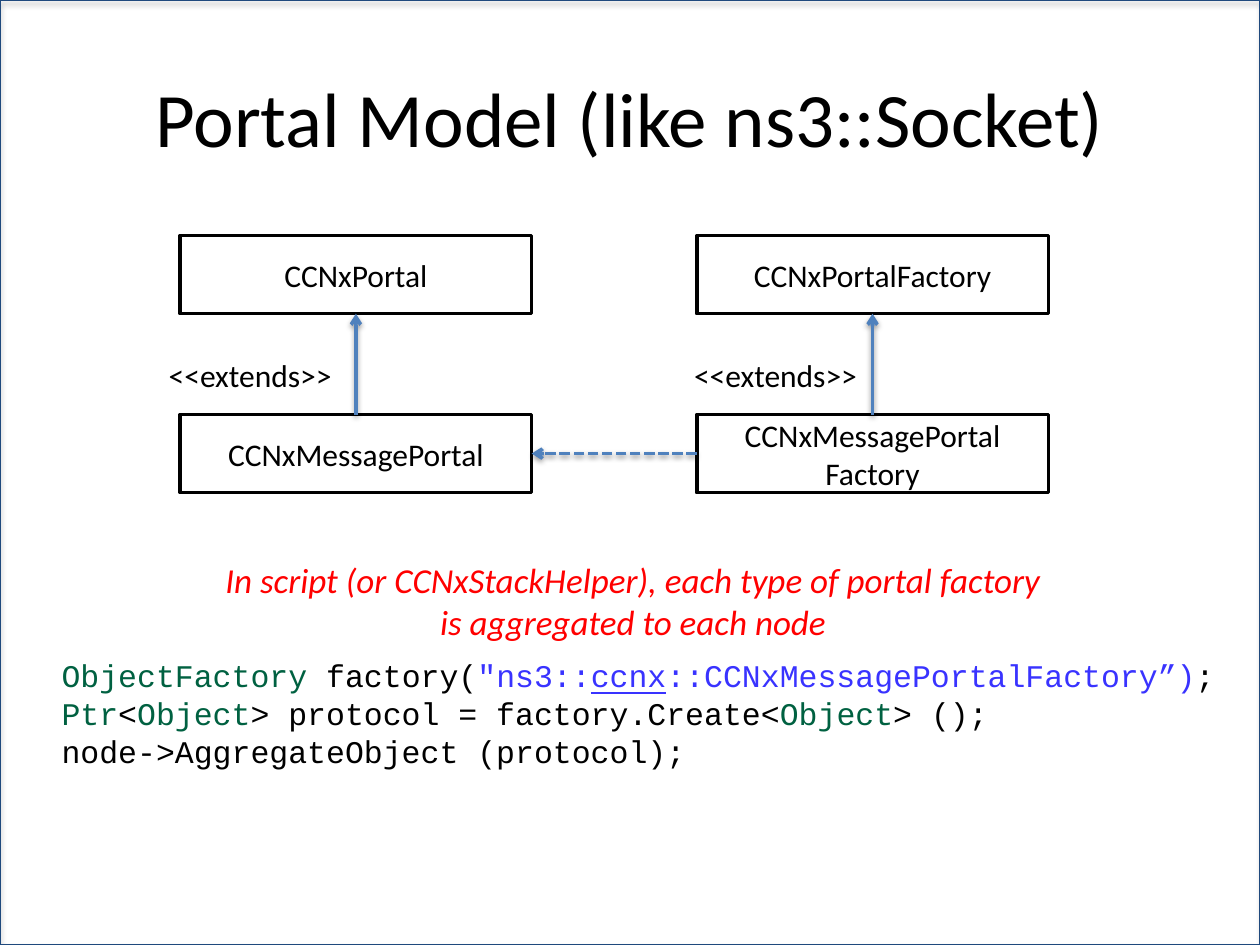
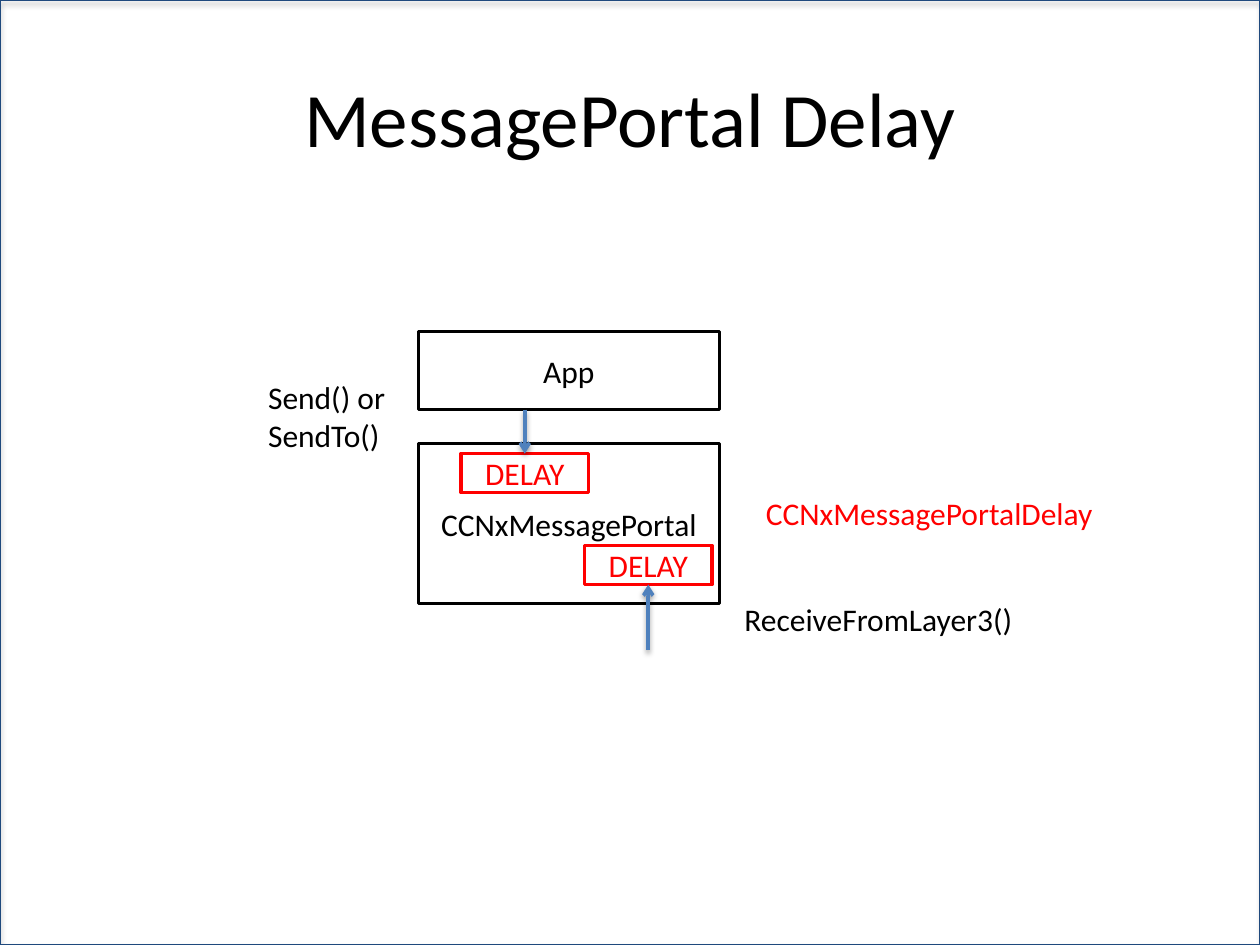
"""Builds two slides on the portal model and its delays."""
from dataclasses import dataclass

from lxml import etree
from pptx import Presentation
from pptx import util as u
from pptx.dml.color import RGBColor
from pptx.enum import dml, shapes, text
from pptx.oxml.ns import qn


@dataclass(frozen=True)
class Theme:
    """Colours, fonts and sizes shared by the slides."""
    ink: str = "000000"
    paper: str = "FFFFFF"
    alert: str = "FF0000"
    arrow: str = "4F81BD"
    frame_fill: str = "264A59"
    frame_line: str = "1F497D"
    code_type: str = "006141"
    code_string: str = "3933FF"
    body_font: str = "Calibri"
    code_font: str = "Courier New"
    title_size: int = 44
    note_size: int = 20
    body_size: int = 18
    stroke: float = 2


THEME = Theme()
TOP, LEFT, BOTTOM = 0, 1, 2


def rgb(code):
    """Return the colour for a hex code."""
    return RGBColor.from_string(code)


def inches(*values):
    """Convert numbers to inch lengths."""
    return [u.Inches(value) for value in values]


def write(frame, lines, *, size=THEME.body_size, font=THEME.body_font,
          color=THEME.ink, align=text.PP_ALIGN.LEFT, italic=None):
    """Fill a text frame with lines, each a string or (text, colour, underline) parts."""
    for index, line in enumerate(lines):
        paragraph = frame.add_paragraph() if index else frame.paragraphs[0]
        paragraph.alignment = align
        parts = [(line, color)] if isinstance(line, str) else line
        for words, ink, *underline in parts:
            run = paragraph.add_run()
            run.text = words
            run.font.name, run.font.size = font, u.Pt(size)
            run.font.color.rgb = rgb(ink)
            run.font.italic = italic
            run.font.underline = bool(underline) or None


def cast_shadow(shape, opacity, distance):
    """Give a shape a soft shadow that falls downwards."""
    effects = etree.SubElement(shape.element.spPr, qn("a:effectLst"))
    outer = etree.SubElement(effects, qn("a:outerShdw"), blurRad=str(u.Pt(3.1)),
                             dist=str(u.Pt(distance)), dir="5400000", rotWithShape="0")
    tint = etree.SubElement(outer, qn("a:srgbClr"), val=THEME.ink)
    etree.SubElement(tint, qn("a:alpha"), val=str(opacity * 1000))


def add_frame(deck, layout):
    """Put the thin border of every slide on the layout."""
    slide = deck.slides[0]
    border = slide.shapes.add_shape(shapes.MSO_SHAPE.FRAME, 0, 0,
                                    deck.slide_width, deck.slide_height)
    border.adjustments[0] = 0
    border.fill.solid()
    border.fill.fore_color.rgb = rgb(THEME.frame_fill)
    border.line.color.rgb = rgb(THEME.frame_line)
    border.line.width = u.Pt(0.75)
    cast_shadow(border, 35, 1.8)
    layout.shapes.element.insert(2, border.element)


def add_titled_slide(deck, layout, title):
    """Add a slide with its title."""
    slide = deck.slides.add_slide(layout)
    heading = slide.shapes.title
    heading.left, heading.top, heading.width, heading.height = inches(0.5, 0.3, 9, 1.25)
    write(heading.text_frame, [title], size=THEME.title_size, align=text.PP_ALIGN.CENTER)
    return slide


def add_box(slide, place, *lines, color=THEME.ink, line_color=None):
    """Add an outlined white box with centred text."""
    box = slide.shapes.add_shape(shapes.MSO_SHAPE.RECTANGLE, *inches(*place))
    box.shadow.inherit = False
    box.fill.solid()
    box.fill.fore_color.rgb = rgb(THEME.paper)
    box.line.color.rgb = rgb(line_color or color)
    box.line.width = u.Pt(THEME.stroke)
    box.text_frame.vertical_anchor = text.MSO_ANCHOR.MIDDLE
    write(box.text_frame, lines, color=color, align=text.PP_ALIGN.CENTER)
    return box


def add_label(slide, place, *lines, **style):
    """Add free text that keeps its own line breaks."""
    label = slide.shapes.add_textbox(*inches(*place))
    label.text_frame.word_wrap = False
    write(label.text_frame, lines, **style)
    return label


def add_arrow(slide, end, begin=None, start=(0, 0), dashed=False):
    """Draw an arrow to a box side from another box side or a start point."""
    arrow = slide.shapes.add_connector(shapes.MSO_CONNECTOR.STRAIGHT,
                                       *inches(*start, *start))
    if begin:
        arrow.begin_connect(*begin)
    arrow.end_connect(*end)
    arrow.line.color.rgb = rgb(THEME.arrow)
    arrow.line.width = u.Pt(THEME.stroke)
    if dashed:
        arrow.line.dash_style = dml.MSO_LINE.SQUARE_DOT
    etree.SubElement(arrow.element.spPr.find(qn("a:ln")), qn("a:tailEnd"), type="arrow")
    cast_shadow(arrow, 38, 1.6)


def fill_model(slide):
    """Draw the class diagram and the code that uses it."""
    width, height, base_top, derived_top = 2.79, 0.62, 1.87, 3.29
    families = [
        (1.43, 1.24, "CCNxPortal", ["CCNxMessagePortal"]),
        (5.53, 5.41, "CCNxPortalFactory", ["CCNxMessagePortal", "Factory"]),
    ]
    derived_boxes = []
    for left, label_left, base_name, derived_name in families:
        base = add_box(slide, (left, base_top, width, height), base_name)
        derived = add_box(slide, (left, derived_top, width, height), *derived_name)
        add_arrow(slide, (base, BOTTOM), (derived, TOP))
        add_label(slide, (label_left, 2.78, 1.52, 0.4), "<<extends>>")
        derived_boxes.append(derived)
    portal, factory = derived_boxes
    add_arrow(slide, (portal, 3), (factory, LEFT), dashed=True)

    add_label(slide, (1.63, 4.38, 6.79, 0.77),
              "In script (or CCNxStackHelper), each type of portal factory",
              "is aggregated to each node", size=THEME.note_size,
              color=THEME.alert, italic=True, align=text.PP_ALIGN.CENTER)
    ink, kind, string = THEME.ink, THEME.code_type, THEME.code_string
    add_label(slide, (0.39, 5.16, 9.44, 1.31),
              [("ObjectFactory ", kind), ("factory(", ink), ('"ns3::', string),
               ("ccnx", string, True), ("::CCNxMessagePortalFactory”)", string),
               (";", ink)],
              [("Ptr", kind), ("<", ink), ("Object", kind),
               ("> protocol = factory.Create<", ink), ("Object", kind), ("> ();", ink)],
              "node->AggregateObject (protocol);", font=THEME.code_font)


def fill_delay(slide):
    """Draw where the portal delays messages in each direction."""
    left, width, app_top, app_height = 3.32, 2.39, 2.63, 0.62
    delay_width, delay_height = 1.01, 0.31
    send_left, receive_left = 3.66, 4.64
    add_box(slide, (left, 3.52, width, 1.27), "CCNxMessagePortal")
    add_box(slide, (left, app_top, width, app_height), "App")
    for delay_left, top, side, start_y in [
            (send_left, 3.6, TOP, app_top + app_height),
            (receive_left, 4.33, BOTTOM, 5.16)]:
        delay = add_box(slide, (delay_left, top, delay_width, delay_height), "DELAY",
                        color=THEME.alert)
        add_arrow(slide, (delay, side), start=(delay_left + delay_width / 2, start_y))

    send = add_label(slide, (2.03, 2.95, 1.14, 0.71), "Send() or", "SendTo()")
    send.fill.solid()
    send.fill.fore_color.rgb = rgb(THEME.paper)
    add_label(slide, (5.81, 4.71, 2.37, 0.4), "ReceiveFromLayer3()")
    add_label(slide, (5.98, 3.87, 2.84, 0.4), "CCNxMessagePortalDelay", color=THEME.alert)


def main():
    """Build and save the deck."""
    deck = Presentation()
    deck.slide_width, deck.slide_height = inches(10, 7.5)
    layout = deck.slide_layouts.get_by_name("Title Only")
    fill_model(add_titled_slide(deck, layout, "Portal Model (like ns3::Socket)"))
    fill_delay(add_titled_slide(deck, layout, "MessagePortal Delay"))
    add_frame(deck, layout)
    deck.save("out.pptx")


if __name__ == "__main__":
    main()
